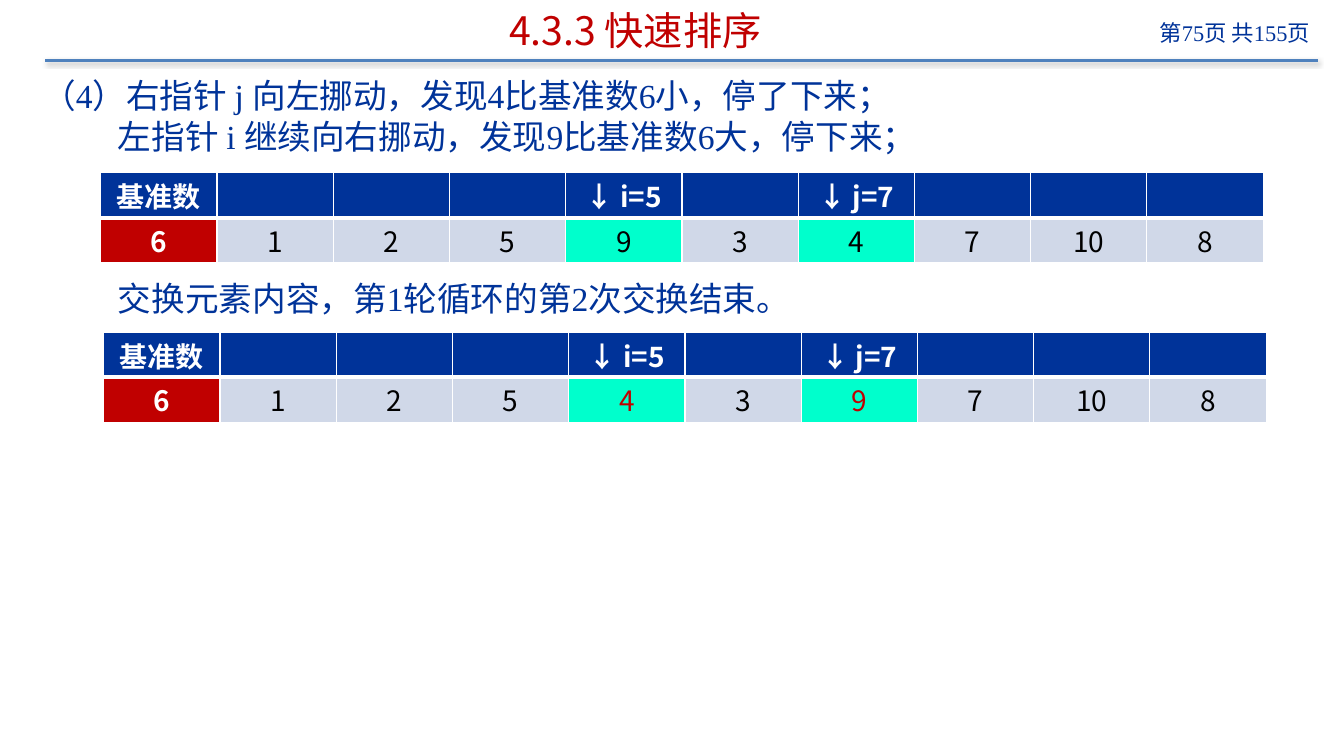
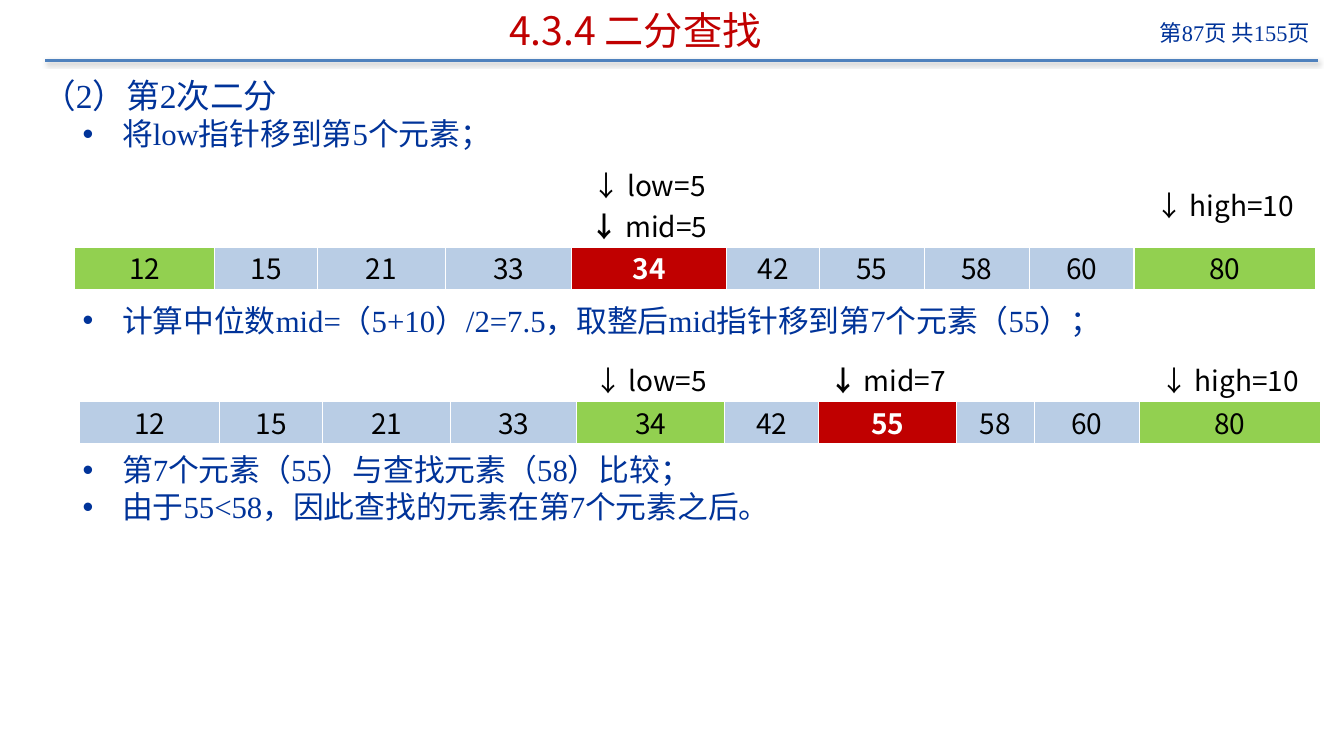
from dataclasses import dataclass, field

from pptx import Presentation
from pptx.dml.color import RGBColor
from pptx.enum import shapes, text
from pptx.oxml import parse_xml
from pptx.oxml.ns import nsdecls
from pptx.util import Inches, Pt

NAVY = RGBColor(0x00, 0x33, 0x99)
RED = RGBColor(0xC0, 0x00, 0x00)
RULE_BLUE = RGBColor(0x4F, 0x81, 0xBD)
WHITE = RGBColor(0xFF, 0xFF, 0xFF)
BLACK = RGBColor(0x00, 0x00, 0x00)
GREY_BLUE = RGBColor(0xD0, 0xD8, 0xE8)
PALE_BLUE = RGBColor(0xB9, 0xCD, 0xE5)
MINT = RGBColor(0x00, 0xFF, 0xCC)
GREEN = RGBColor(0x92, 0xD0, 0x50)

SANS = "Noto Sans CJK SC"
SERIF = "Times New Roman"
PAGE_COUNT = 155


@dataclass(frozen=True)
class Tone:
    fill: RGBColor
    color: RGBColor = BLACK
    bold: bool = False


@dataclass(frozen=True)
class Label:
    column: int
    text: str
    heavy_arrow: bool = False


@dataclass(frozen=True)
class Sequence:
    left: float
    top: float
    widths: list[float]
    heights: tuple[float, float]
    header: Tone
    labels: list[Label]
    values: list[int]
    plain: Tone
    marks: dict[int, Tone]


@dataclass(frozen=True)
class Step:
    text: str
    bullet: bool = False
    indent: float = 0
    before: float = 0.3


@dataclass(frozen=True)
class Lesson:
    page: int
    title: str
    steps: list[Step]
    sequences: list[Sequence] = field(default_factory=list)


PIVOT = Tone(RED, WHITE, True)
SORT_HEADER = Tone(NAVY, WHITE, True)
SEARCH_HEADER = Tone(WHITE)
SORT_PLAIN = Tone(GREY_BLUE)
SEARCH_PLAIN = Tone(PALE_BLUE)
BOUND = Tone(GREEN)
POINTED = Tone(MINT)
SWAPPED = Tone(MINT, RED)

SORT_WIDTHS = [11.53 / 10] * 10
SORT_LABELS = [Label(0, "基准数"), Label(4, "↓ i=5"), Label(6, "↓ j=7")]
SEARCH_VALUES = [12, 15, 21, 33, 34, 42, 55, 58, 60, 80]
LOW = Label(4, "↓ low=5")
HIGH = Label(9, "↓ high=10")

LESSONS = [
    Lesson(
        75,
        "4.3.3 快速排序",
        [
            Step("（4）右指针 j 向左挪动，发现4比基准数6小，停了下来；"),
            Step("左指针 i 继续向右挪动，发现9比基准数6大，停下来；", indent=0.75),
            Step("交换元素内容，第1轮循环的第2次交换结束。", indent=0.75, before=87),
        ],
        [
            Sequence(1, 1.71, SORT_WIDTHS, (0.45, 0.45), SORT_HEADER, SORT_LABELS,
                     [6, 1, 2, 5, 9, 3, 4, 7, 10, 8], SORT_PLAIN,
                     {0: PIVOT, 4: POINTED, 6: POINTED}),
            Sequence(1.03, 3.3, SORT_WIDTHS, (0.44, 0.45), SORT_HEADER, SORT_LABELS,
                     [6, 1, 2, 5, 4, 3, 9, 7, 10, 8], SORT_PLAIN,
                     {0: PIVOT, 4: SWAPPED, 6: SWAPPED}),
        ],
    ),
    Lesson(
        87,
        "4.3.4 二分查找",
        [
            Step("（2）第2次二分"),
            Step("将low指针移到第5个元素；", bullet=True),
            Step("计算中位数mid=（5+10）/2=7.5，取整后mid指针移到第7个元素（55）；",
                 bullet=True, before=107),
            Step("第7个元素（55）与查找元素（58）比较；", bullet=True, before=81),
            Step("由于55<58，因此查找的元素在第7个元素之后。", bullet=True),
        ],
        [
            Sequence(0.74, 1.62,
                     [1.39, 1.02, 1.27, 1.25, 1.54, 0.92, 1.04, 1.04, 1.04, 1.8],
                     (0.82, 0.43), SEARCH_HEADER,
                     [LOW, Label(4, "↓ mid=5", True), HIGH],
                     SEARCH_VALUES, SEARCH_PLAIN, {0: BOUND, 4: PIVOT, 9: BOUND}),
            Sequence(0.79, 3.55,
                     [1.39, 1.02, 1.27, 1.25, 1.47, 0.93, 1.37, 0.77, 1.04, 1.8],
                     (0.42, 0.43), SEARCH_HEADER,
                     [LOW, Label(6, "↓ mid=7", True), HIGH],
                     SEARCH_VALUES, SEARCH_PLAIN, {4: BOUND, 6: PIVOT, 9: BOUND}),
        ],
    ),
]


def style_run(run, size: float, latin: str, color: RGBColor, bold: bool = False) -> None:
    run.font.size = Pt(size)
    run.font.bold = bold
    run.font.color.rgb = color
    run.font.name = latin
    east_asian = parse_xml(f'<a:ea {nsdecls("a")} typeface="{SANS}"/>')
    run.font._element.find("{*}latin").addnext(east_asian)


def place(shape, left: float, top: float, width: float, height: float) -> None:
    shape.left, shape.top = Inches(left), Inches(top)
    shape.width, shape.height = Inches(width), Inches(height)


def draw_frame(slide, lesson: Lesson) -> None:
    rule = slide.shapes.add_connector(
        shapes.MSO_CONNECTOR.STRAIGHT,
        Inches(0.45), Inches(0.6), Inches(13.07), Inches(0.6))
    rule.line.color.rgb = RULE_BLUE
    rule.line.width = Pt(2)
    rule._element.spPr.append(parse_xml(
        f'<a:effectLst {nsdecls("a")}>'
        f'<a:outerShdw blurRad="{Pt(3.1)}" dist="{Pt(1.6)}" dir="5400000" rotWithShape="0">'
        '<a:srgbClr val="000000"><a:alpha val="38000"/></a:srgbClr>'
        '</a:outerShdw></a:effectLst>'))

    page = slide.shapes.add_textbox(
        Inches(10.83), Inches(0.14), Inches(2.26), Inches(0.45)).text_frame
    page.word_wrap = True
    page.text = f"第{lesson.page}页 共{PAGE_COUNT}页"
    page.paragraphs[0].alignment = text.PP_ALIGN.RIGHT
    style_run(page.paragraphs[0].runs[0], 16, SERIF, NAVY)

    title = slide.shapes.title
    place(title, 0.77, 0.02, 11.06, 0.56)
    heading = title.text_frame
    heading.text = lesson.title
    heading.auto_size = text.MSO_AUTO_SIZE.NONE
    heading.vertical_anchor = text.MSO_ANCHOR.MIDDLE
    heading.paragraphs[0].alignment = text.PP_ALIGN.CENTER
    style_run(heading.paragraphs[0].runs[0], 28, SANS, RED)


def draw_steps(slide, steps: list[Step]) -> None:
    body = slide.placeholders[1]
    place(body, 0.32, 0.69, 12.74, 6.56)
    frame = body.text_frame
    frame.text = "\n".join(step.text for step in steps)
    frame.auto_size = text.MSO_AUTO_SIZE.NONE
    frame.vertical_anchor = text.MSO_ANCHOR.TOP
    for index, (paragraph, step) in enumerate(zip(frame.paragraphs, steps)):
        properties = paragraph._p.get_or_add_pPr()
        left, hanging = (0.79, -0.39) if step.bullet else (step.indent, 0)
        properties.set("marL", str(Inches(left)))
        properties.set("indent", str(Inches(hanging)))
        marker = 'buChar char="•"' if step.bullet else "buNone"
        tag = marker.split()[0]
        properties.append(parse_xml(
            f'<a:{tag} {nsdecls("a")}{marker[len(tag):]}/>'))
        paragraph.level = 1 if step.bullet else 0
        paragraph.alignment = text.PP_ALIGN.LEFT
        paragraph.line_spacing = Pt(26 if step.bullet else 29)
        paragraph.space_before = Pt(step.before if index else 0)
        paragraph.space_after = Pt(0)
        style_run(paragraph.runs[0], 22 if step.bullet else 24, SERIF, NAVY)


def format_cell(cell, tone: Tone, thick_side: str) -> None:
    cell.margin_left = cell.margin_right = Inches(0.07)
    cell.margin_top = cell.margin_bottom = 0
    cell.vertical_anchor = text.MSO_ANCHOR.MIDDLE
    for side in ("lnL", "lnR", "lnT", "lnB"):
        width = Pt(3 if side == thick_side else 1)
        cell._tc.get_or_add_tcPr().append(parse_xml(
            f'<a:{side} {nsdecls("a")} w="{width}"><a:solidFill>'
            f'<a:srgbClr val="{WHITE}"/></a:solidFill></a:{side}>'))
    cell.fill.solid()
    cell.fill.fore_color.rgb = tone.fill


def write_cell(cell, labels: list[Label], tone: Tone) -> None:
    cell.text_frame.text = "\n".join(label.text for label in labels)
    for paragraph, label in zip(cell.text_frame.paragraphs, labels):
        paragraph.alignment = text.PP_ALIGN.CENTER
        if label.heavy_arrow:
            paragraph.text = label.text[:2]
            paragraph.add_run().text = label.text[2:]
        for run in paragraph.runs:
            style_run(run, 20, SANS, tone.color, tone.bold)
        if label.heavy_arrow:
            paragraph.runs[0].font.bold = True


def draw_sequence(slide, sequence: Sequence) -> None:
    table = slide.shapes.add_table(
        2, len(sequence.widths), Inches(sequence.left), Inches(sequence.top),
        Inches(sum(sequence.widths)), Inches(sum(sequence.heights))).table
    table.first_row = table.horz_banding = False
    for row, height in zip(table.rows, sequence.heights):
        row.height = Inches(height)
    for index, (width, value) in enumerate(zip(sequence.widths, sequence.values)):
        table.columns[index].width = Inches(width)
        pointer, element = table.cell(0, index), table.cell(1, index)
        format_cell(pointer, sequence.header, "lnB")
        labels = [label for label in sequence.labels if label.column == index]
        if labels:
            write_cell(pointer, labels, sequence.header)
        tone = sequence.marks.get(index, sequence.plain)
        format_cell(element, tone, "lnT")
        write_cell(element, [Label(index, str(value))], tone)


def main() -> None:
    deck = Presentation()
    deck.slide_width, deck.slide_height = Inches(13.33), Inches(7.5)
    for lesson in LESSONS:
        slide = deck.slides.add_slide(deck.slide_layouts[1])
        draw_frame(slide, lesson)
        draw_steps(slide, lesson.steps)
        for sequence in lesson.sequences:
            draw_sequence(slide, sequence)
    deck.save("out.pptx")


if __name__ == "__main__":
    main()
